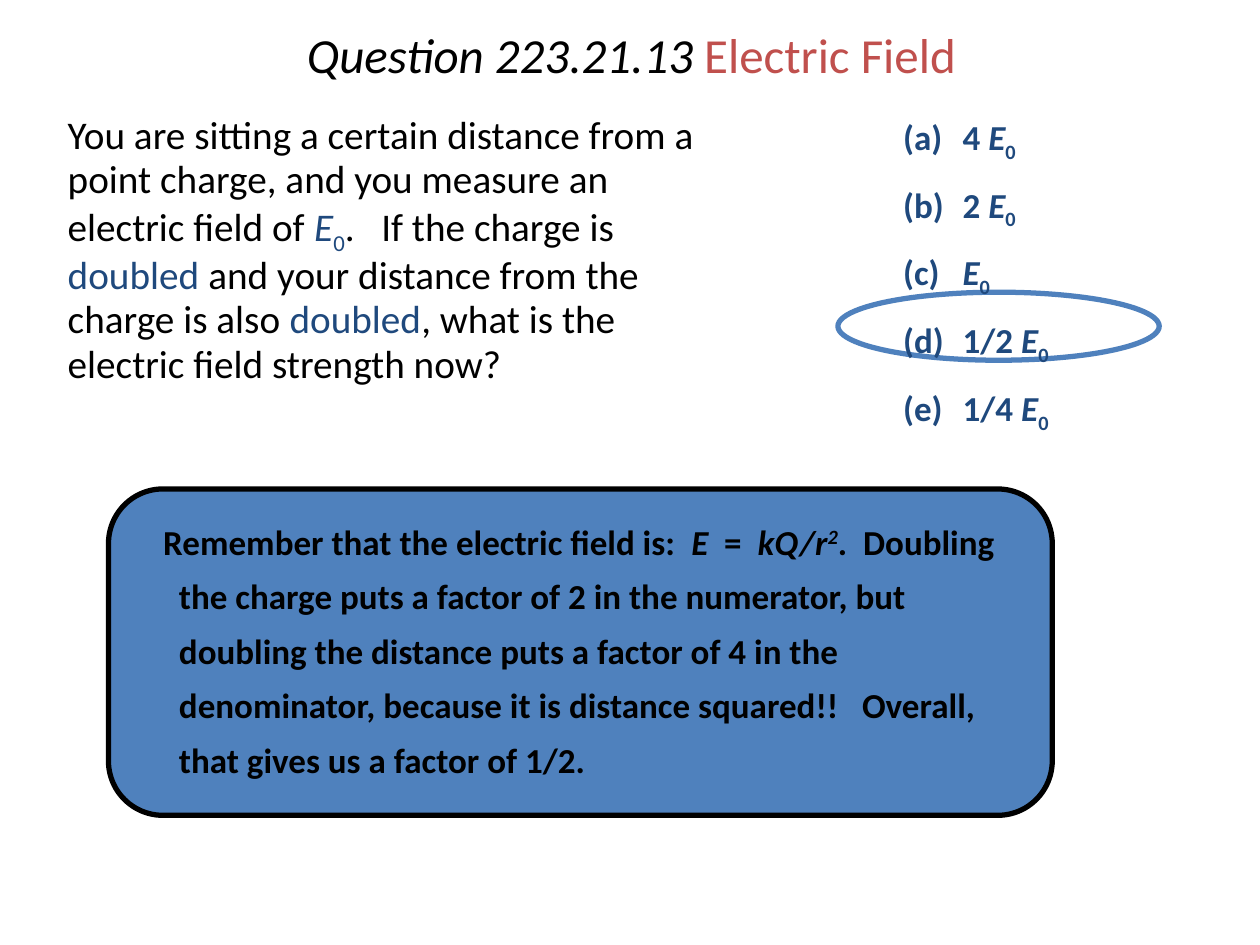
from dataclasses import dataclass

from lxml.etree import SubElement
from pptx import Presentation
from pptx.dml.color import RGBColor
from pptx.enum.shapes import MSO_SHAPE
from pptx.enum.text import MSO_ANCHOR, MSO_AUTO_SIZE, PP_ALIGN
from pptx.oxml.ns import qn
from pptx.util import Pt

BLACK = "000000"
NAVY = "1F497D"
BLUE = "4F81BD"
RED = "C0504D"
FONT = "Calibri"
SUBSCRIPT = -25000
SUPERSCRIPT = 30000


@dataclass(frozen=True)
class Frame:
    left: float
    top: float
    width: float
    height: float

    def lengths(self) -> tuple:
        return Pt(self.left), Pt(self.top), Pt(self.width), Pt(self.height)


@dataclass(frozen=True)
class Span:
    text: str
    color: str = BLACK
    italic: bool = False
    baseline: int = 0


FIELD_SYMBOL = (Span("E", NAVY, italic=True), Span("0", NAVY, baseline=SUBSCRIPT))
OPTIONS = ("(a)\t4 ", "(b)\t2 ", "(c)\t", "(d)\t1/2 ", "(e)\t1/4 ")
TITLE = (Span("Question 223.21.13 ", italic=True), Span("Electric Field", RED))
QUESTION = (
    Span("You are sitting a certain distance from a point charge, "
         "and you measure an electric field of "),
    *FIELD_SYMBOL,
    Span(".   If the charge is "),
    Span("doubled", NAVY),
    Span(" and your distance from the charge is also "),
    Span("doubled", NAVY),
    Span(", what is the electric field strength now?"),
)
EXPLANATION = (
    Span("Remember that the electric field is:  "),
    Span("E", italic=True),
    Span("  =  "),
    Span("kQ/r", italic=True),
    Span("2", italic=True, baseline=SUPERSCRIPT),
    Span(".  Doubling the charge puts a factor of 2 in the numerator, "
         "but doubling the distance puts a factor of 4 in the denominator, "
         "because it is distance squared!!   Overall, "
         "that gives us a factor of 1/2."),
)


def rgb(color: str) -> RGBColor:
    return RGBColor.from_string(color)


def write_text(box, paragraphs, *, size: float, bold: bool = False,
               line_spacing: float = 1.0, gap: float = 0, margin: float = 0,
               indent: float = 0, align=PP_ALIGN.LEFT, anchor=MSO_ANCHOR.TOP) -> None:
    text_frame = box.text_frame
    text_frame.word_wrap = True
    text_frame.auto_size = MSO_AUTO_SIZE.NONE
    text_frame.vertical_anchor = anchor
    for index, spans in enumerate(paragraphs):
        para = text_frame.add_paragraph() if index else text_frame.paragraphs[0]
        properties = para._p.get_or_add_pPr()
        properties.set("marL", str(Pt(margin)))
        properties.set("indent", str(Pt(indent)))
        SubElement(properties, qn("a:buNone"))
        para.alignment = align
        para.line_spacing = line_spacing
        para.space_before = Pt(gap if index else 0)
        for span in spans:
            run = para.add_run()
            run.text = span.text
            run.font.name = FONT
            run.font.size = Pt(size)
            run.font.bold = bold
            run.font.italic = span.italic
            run.font.color.rgb = rgb(span.color)
            if span.baseline:
                run._r.get_or_add_rPr().set("baseline", str(span.baseline))


def place(box, frame: Frame) -> None:
    box.left, box.top, box.width, box.height = frame.lengths()


def add_outline(page, kind, frame: Frame, line: str, fill: str = "") -> None:
    shape = page.shapes.add_shape(kind, *frame.lengths())
    shape.shadow.inherit = False
    shape.line.color.rgb = rgb(line)
    shape.line.width = Pt(3)
    if fill:
        shape.fill.solid()
        shape.fill.fore_color.rgb = rgb(fill)
    else:
        shape.fill.background()


def main() -> None:
    deck = Presentation()
    deck.slide_width, deck.slide_height = Pt(720), Pt(540)
    page = deck.slides.add_slide(deck.slide_layouts[1])

    title = page.shapes.title
    place(title, Frame(73.5, 0, 574.5, 66))
    write_text(title, [TITLE], size=28, line_spacing=0.9,
               align=PP_ALIGN.CENTER, anchor=MSO_ANCHOR.MIDDLE)

    question = page.placeholders[1]
    place(question, Frame(0, 61.2, 411, 190.8))
    write_text(question, [QUESTION], size=22.4, line_spacing=0.95, margin=31.5)

    add_outline(page, MSO_SHAPE.OVAL, Frame(478.8, 167, 183.6, 38.9), BLUE)
    add_outline(page, MSO_SHAPE.ROUNDED_RECTANGLE,
                Frame(62, 279.4, 539.3, 186.5), BLACK, BLUE)

    explanation = page.shapes.add_textbox(*Frame(72.7, 286.5, 520.6, 163.4).lengths())
    write_text(explanation, [EXPLANATION], size=20, bold=True,
               line_spacing=1.3, margin=22.5, indent=-9)

    options = page.shapes.add_textbox(*Frame(509, 56.9, 164.2, 196.6).lengths())
    write_text(options, [(Span(label, NAVY), *FIELD_SYMBOL) for label in OPTIONS],
               size=20, bold=True, line_spacing=1.2, gap=6, margin=34, indent=-34)

    deck.save("out.pptx")


if __name__ == "__main__":
    main()
